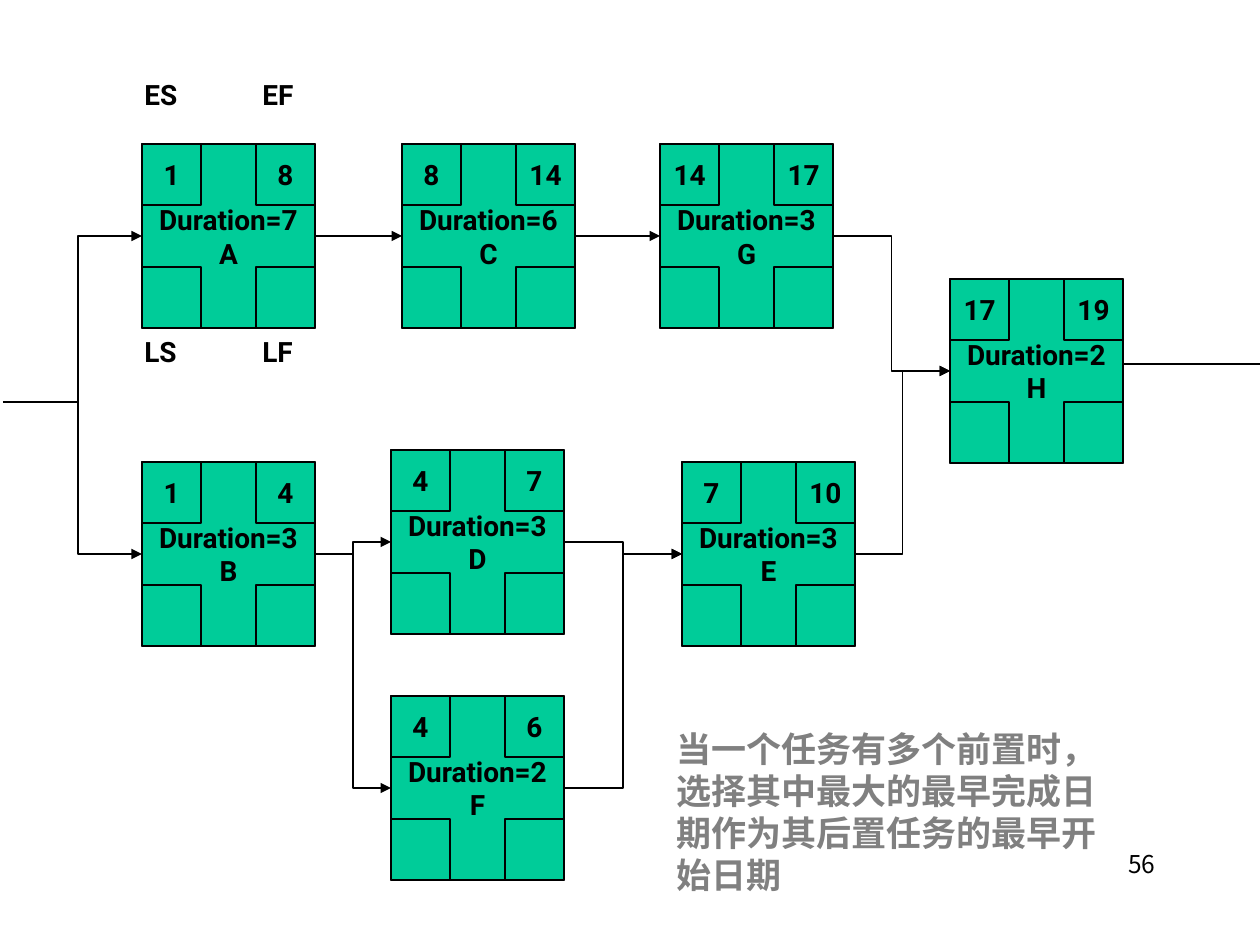
from lxml.etree import SubElement
from pptx import Presentation
from pptx.dml.color import RGBColor
from pptx.enum.shapes import MSO_CONNECTOR, MSO_SHAPE
from pptx.enum.text import MSO_ANCHOR, PP_ALIGN
from pptx.oxml.ns import qn
from pptx.util import Pt

SCALE = 914400 / 126  # EMU in one px
GREEN = RGBColor(0x00, 0xCC, 0x99)
BLACK = RGBColor(0x00, 0x00, 0x00)
GRAY = RGBColor(0x80, 0x80, 0x80)
LABEL_FORMAT = {"name": "Roboto", "size": Pt(16), "bold": True}
NOTE_FORMAT = {"name": "Noto Sans CJK SC", "size": Pt(20), "bold": True}
NUMBER_FORMAT = {"name": "Noto Sans CJK KR", "size": Pt(14), "bold": False}

NODE_WIDTH, NODE_HEIGHT = 173, 184
CORNER_WIDTH, CORNER_HEIGHT = 59, 61
TOP, SIDE_LEFT, SIDE_RIGHT = 144, 1, 3
LOWER = 462
FORK_X, FORK_Y = 78, 402

# name: (left, top, duration, earliest start, earliest finish)
TASKS = {
    "A": (142, TOP, 7, 1, 8),
    "B": (142, LOWER, 3, 1, 4),
    "C": (402, TOP, 6, 8, 14),
    "G": (660, TOP, 3, 14, 17),
    "D": (391, 450, 3, 4, 7),
    "E": (682, LOWER, 3, 7, 10),
    "F": (391, 696, 2, 4, 6),
    "H": (950, 279, 2, 17, 19),
}
STRAIGHT_LINKS = ["AC", "CG"]
BENT_LINKS = ["BD", "BF", "DE", "FE", "GH", "EH"]


def px(*lengths):
    return [round(length * SCALE) for length in lengths]


def write(text_frame, lines, font_format, color, alignment):
    for index, line in enumerate(lines):
        paragraph = text_frame.paragraphs[0] if index == 0 else text_frame.add_paragraph()
        paragraph.alignment = alignment
        run = paragraph.add_run()
        run.text = line
        for name, value in font_format.items():
            setattr(run.font, name, value)
        run.font.color.rgb = color
        east_asian = SubElement(run.font._element, qn("a:ea"))
        east_asian.set("typeface", font_format["name"])


def add_box(slide, left, top, width, height, lines=()):
    shape = slide.shapes.add_shape(MSO_SHAPE.RECTANGLE, *px(left, top, width, height))
    shape.shadow.inherit = False
    shape.fill.solid()
    shape.fill.fore_color.rgb = GREEN
    shape.line.color.rgb = BLACK
    shape.line.width = Pt(0.75)
    shape.text_frame.word_wrap = False
    shape.text_frame.vertical_anchor = MSO_ANCHOR.MIDDLE
    write(shape.text_frame, lines, LABEL_FORMAT, BLACK, PP_ALIGN.CENTER)
    return shape


def add_task(slide, name, left, top, duration, start, finish):
    body = add_box(slide, left, top, NODE_WIDTH, NODE_HEIGHT, [f"Duration={duration}", name])
    right = left + NODE_WIDTH - CORNER_WIDTH
    bottom = top + NODE_HEIGHT - CORNER_HEIGHT
    corners = [(left, top, [str(start)]), (right, top, [str(finish)]),
               (left, bottom, []), (right, bottom, [])]
    for x, y, lines in corners:
        add_box(slide, x, y, CORNER_WIDTH, CORNER_HEIGHT, lines)
    return body


def add_line(slide, kind, start=(0, 0), end=(0, 0), arrow=None):
    connector = slide.shapes.add_connector(kind, *px(*start, *end))
    connector.line.color.rgb = BLACK
    connector.line.width = Pt(0.75)
    if arrow:
        SubElement(connector.line._get_or_add_ln(), qn(arrow)).set("type", "triangle")
    SubElement(connector._element.spPr, qn("a:effectLst"))
    return connector


def add_links(slide, bodies):
    # Links between tasks, from right side to left side
    for kind, links in ((MSO_CONNECTOR.STRAIGHT, STRAIGHT_LINKS), (MSO_CONNECTOR.ELBOW, BENT_LINKS)):
        for source, target in links:
            connector = add_line(slide, kind, arrow="a:tailEnd")
            connector.begin_connect(bodies[source], SIDE_RIGHT)
            connector.end_connect(bodies[target], SIDE_LEFT)

    # Fork into the first tasks: one corner each, arrowhead at the task
    middle = (TOP + LOWER + NODE_HEIGHT) // 2
    for name in "AB":
        left, top = TASKS[name][:2]
        connector = add_line(slide, MSO_CONNECTOR.ELBOW, (left, top + NODE_HEIGHT // 2),
                             (FORK_X, middle), "a:headEnd")
        connector._element.spPr.find(qn("a:prstGeom")).set("prst", "bentConnector2")

    # Entry and exit lines
    add_line(slide, MSO_CONNECTOR.STRAIGHT, (3, FORK_Y), (FORK_X, FORK_Y))
    add_line(slide, MSO_CONNECTOR.STRAIGHT, (1123, 364), (1262, 364))


def add_text(slide, box, text, font_format, color=BLACK, alignment=PP_ALIGN.LEFT, spacing=None):
    text_frame = slide.shapes.add_textbox(*px(*box)).text_frame
    text_frame.word_wrap = True
    write(text_frame, [text], font_format, color, alignment)
    text_frame.paragraphs[0].line_spacing = spacing


def add_legend(slide, left, top):
    for row, labels in enumerate((("ES", "EF"), ("LS", "LF"))):
        for column, label in enumerate(labels):
            add_text(slide, (left + 118 * column, top + 257 * row, 76, 47), label, LABEL_FORMAT)


def main():
    presentation = Presentation()
    presentation.slide_width, presentation.slide_height = px(1260, 945)
    slide = presentation.slides.add_slide(presentation.slide_layouts[6])

    # Task network
    bodies = {name: add_task(slide, name, *values) for name, values in TASKS.items()}
    add_links(slide, bodies)
    add_legend(slide, 132, 71)

    # Explanation and slide number
    add_text(slide, (664, 721, 459, 183),
             "当一个任务有多个前置时，选择其中最大的最早完成日期作为其后置任务的最早开始日期",
             NOTE_FORMAT, GRAY, spacing=Pt(24))
    add_text(slide, (906, 843, 262, 35), "56", NUMBER_FORMAT, alignment=PP_ALIGN.RIGHT)

    presentation.save("out.pptx")


if __name__ == "__main__":
    main()
